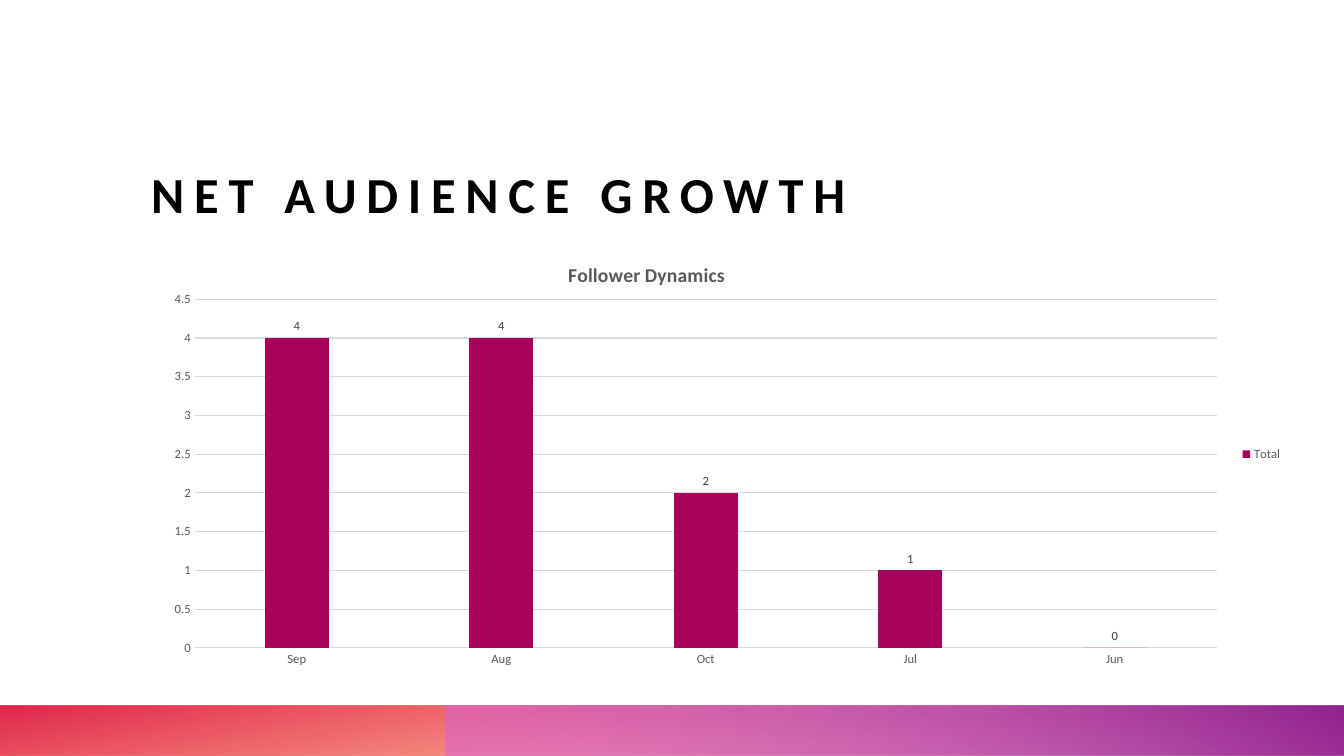
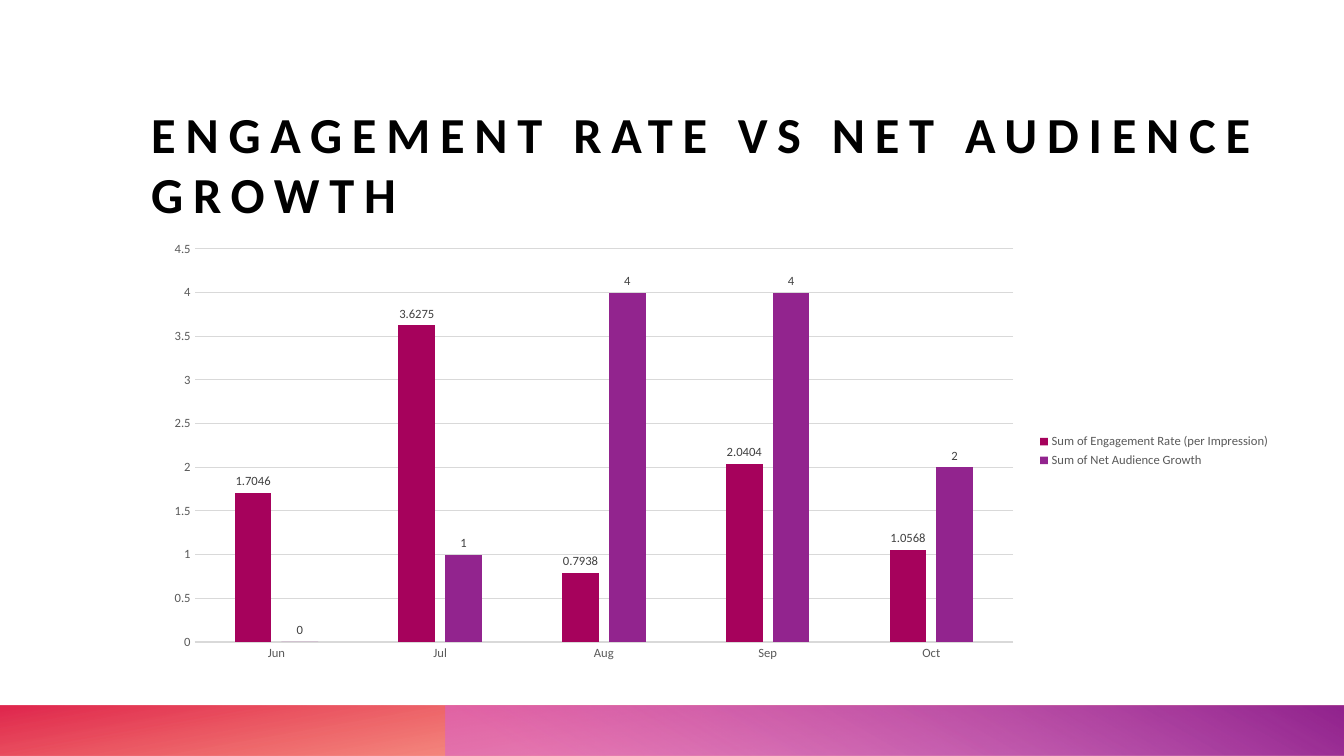
from pptx import Presentation
from pptx.chart.data import CategoryChartData
from pptx.dml.color import RGBColor
from pptx.enum.chart import XL_CHART_TYPE, XL_LABEL_POSITION, XL_LEGEND_POSITION, XL_TICK_MARK
from pptx.enum.shapes import MSO_SHAPE
from pptx.enum.text import MSO_ANCHOR
from pptx.oxml import parse_xml
from pptx.oxml.ns import nsdecls, qn
from pptx.util import Inches, Pt

COLUMNS = XL_CHART_TYPE.COLUMN_CLUSTERED
RECTANGLE = MSO_SHAPE.RECTANGLE
NO_TICK = XL_TICK_MARK.NONE
OUTSIDE_END = XL_LABEL_POSITION.OUTSIDE_END
LEGEND_RIGHT = XL_LEGEND_POSITION.RIGHT
BOTTOM = MSO_ANCHOR.BOTTOM

WIDTH, HEIGHT = 13.33, 7.5
FONT = "Calibri"
COLORS = {
    "title": "000000", "axis": "595959", "label": "404040", "grid": "D9D9D9",
    "magenta": "A6025C", "purple": "92248E",
    "orange": "FE4A00", "red": "DA002F", "pink": "D861D4",
}
SERIES_COLORS = ["magenta", "purple"]
TITLE_BOX = (1.5, 0.87, 11.2, 1.35)

# Footer bands: left edge, rotation, gradient angle, stops (position, colour, opacity) in percent
BAND_HEIGHT = HEIGHT / 15
BANDS = [
    (0, 180, 100, [(14, "orange", 28), (100, "red", 85)]),
    (4.42, 0, 240, [(9, "pink", 55), (99, "purple", 100)]),
]

# Boxes are left, top, width, height in inches on the slide
SLIDES = [
    {
        "title": "NET AUDIENCE GROWTH",
        "chart_title": "Follower Dynamics",
        "chart_title_at": (5.6, 2.56),
        "chart_box": (1.5, 2.31, 11.32, 4.39),
        "plot_box": (1.93, 2.97, 10.14, 3.46),
        "categories": ["Sep", "Aug", "Oct", "Jul", "Jun"],
        "series": {"Total": [4, 4, 2, 1, 0]},
    },
    {
        "title": "ENGAGEMENT RATE VS NET AUDIENCE GROWTH",
        "chart_box": (1.5, 2.31, 11.2, 4.33),
        "plot_box": (1.93, 2.47, 8.12, 3.9),
        "categories": ["Jun", "Jul", "Aug", "Sep", "Oct"],
        "series": {
            "Sum of Engagement Rate (per Impression)": [1.7046, 3.6275, 0.7938, 2.0404, 1.0568],
            "Sum of Net Audience Growth": [0, 1, 4, 4, 2],
        },
    },
]


def rgb(name):
    return RGBColor.from_string(COLORS[name])


def inches(box):
    return [Inches(length) for length in box]


def style_font(font, size, color, bold=False):
    for name, value in {"name": FONT, "size": Pt(size), "bold": bold}.items():
        setattr(font, name, value)
    font.color.rgb = rgb(color)


def style_line(line, color):
    line.color.rgb = rgb(color)
    line.width = Pt(0.75)


def add_band(page, left, rotation, angle, stops):
    box = (left, HEIGHT - BAND_HEIGHT, WIDTH - left, BAND_HEIGHT)
    band = page.shapes.add_shape(RECTANGLE, *inches(box))
    band.rotation = rotation
    band.line.fill.background()
    band.shadow.inherit = False
    stop_xml = "".join(
        f'<a:gs pos="{position * 1000}"><a:srgbClr val="{COLORS[color]}">'
        f'<a:alpha val="{opacity * 1000}"/></a:srgbClr></a:gs>'
        for position, color, opacity in stops)
    properties = band.element.spPr
    properties.find(qn("a:xfrm")).set("flipH", "1")
    properties.insert(2, parse_xml(
        f'<a:gradFill {nsdecls("a")} rotWithShape="1"><a:gsLst>{stop_xml}</a:gsLst>'
        f'<a:lin ang="{angle * 60000}" scaled="0"/></a:gradFill>'))


def add_title(page, text):
    frame = page.shapes.add_textbox(*inches(TITLE_BOX)).text_frame
    settings = {"word_wrap": True, "vertical_anchor": BOTTOM, "margin_left": 0,
                "margin_top": 0, "margin_right": 0, "margin_bottom": 0}
    for name, value in settings.items():
        setattr(frame, name, value)
    span = frame.paragraphs[0].add_run()
    span.text = text
    style_font(span.font, 36, "title", True)
    span.font._element.set("spc", "700")


def place(parent, index, chart_box, box, target=""):
    """Fix a chart part at a slide position, as shares of the chart's size."""
    left, top, width, height = chart_box
    shares = [(box[0] - left) / width, (box[1] - top) / height]
    shares += [length / whole for length, whole in zip(box[2:], (width, height))]
    modes = '<c:xMode val="edge"/><c:yMode val="edge"/>'
    values = "".join(f'<c:{tag} val="{share:.4f}"/>' for tag, share in zip("xywh", shares))
    for old in parent.findall(qn("c:layout")):
        parent.remove(old)
    parent.insert(index, parse_xml(
        f'<c:layout {nsdecls("c")}><c:manualLayout>{target}{modes}{values}'
        '</c:manualLayout></c:layout>'))


def add_column_chart(page, content):
    data = CategoryChartData()
    data.categories = content["categories"]
    for name, values in content["series"].items():
        data.add_series(name, values)
    box = content["chart_box"]
    chart = page.shapes.add_chart(COLUMNS, *inches(box), data).chart
    style_font(chart.font, 10, "title")

    # Title and legend
    chart.has_title = "chart_title" in content
    if chart.has_title:
        span = chart.chart_title.text_frame.paragraphs[0].add_run()
        span.text = content["chart_title"]
        style_font(span.font, 14, "axis", True)
        chart.chart_title.include_in_layout = False
        place(chart.chart_title.element, 1, box, content["chart_title_at"])
    chart.has_legend = True
    chart.legend.position = LEGEND_RIGHT
    chart.legend.include_in_layout = False
    style_font(chart.legend.font, 9, "axis")

    # Axes
    for axis in (chart.category_axis, chart.value_axis):
        axis.major_tick_mark = axis.minor_tick_mark = NO_TICK
        style_font(axis.tick_labels.font, 9, "axis")
    style_line(chart.category_axis.format.line, "grid")
    values_axis = chart.value_axis
    values_axis.format.line.fill.background()
    values_axis.minimum_scale, values_axis.maximum_scale, values_axis.major_unit = 0, 4.5, 0.5
    style_line(values_axis.major_gridlines.format.line, "grid")

    # Columns and their labels
    plot = chart.plots[0]
    plot.gap_width, plot.overlap, plot.vary_by_categories = 219, -27, False
    for series, color in zip(plot.series, SERIES_COLORS):
        series.format.fill.solid()
        series.format.fill.fore_color.rgb = rgb(color)
        labels = series.data_labels
        labels.show_value = True
        labels.position = OUTSIDE_END
        style_font(labels.font, 9, "label")
    place(chart.element.find(".//" + qn("c:plotArea")), 0, box, content["plot_box"],
          '<c:layoutTarget val="inner"/>')


def main():
    deck = Presentation()
    deck.slide_width, deck.slide_height = inches((WIDTH, HEIGHT))
    for content in SLIDES:
        page = deck.slides.add_slide(deck.slide_layouts[6])
        for band in BANDS:
            add_band(page, *band)
        add_title(page, content["title"])
        add_column_chart(page, content)
    deck.save("out.pptx")


if __name__ == "__main__":
    main()
